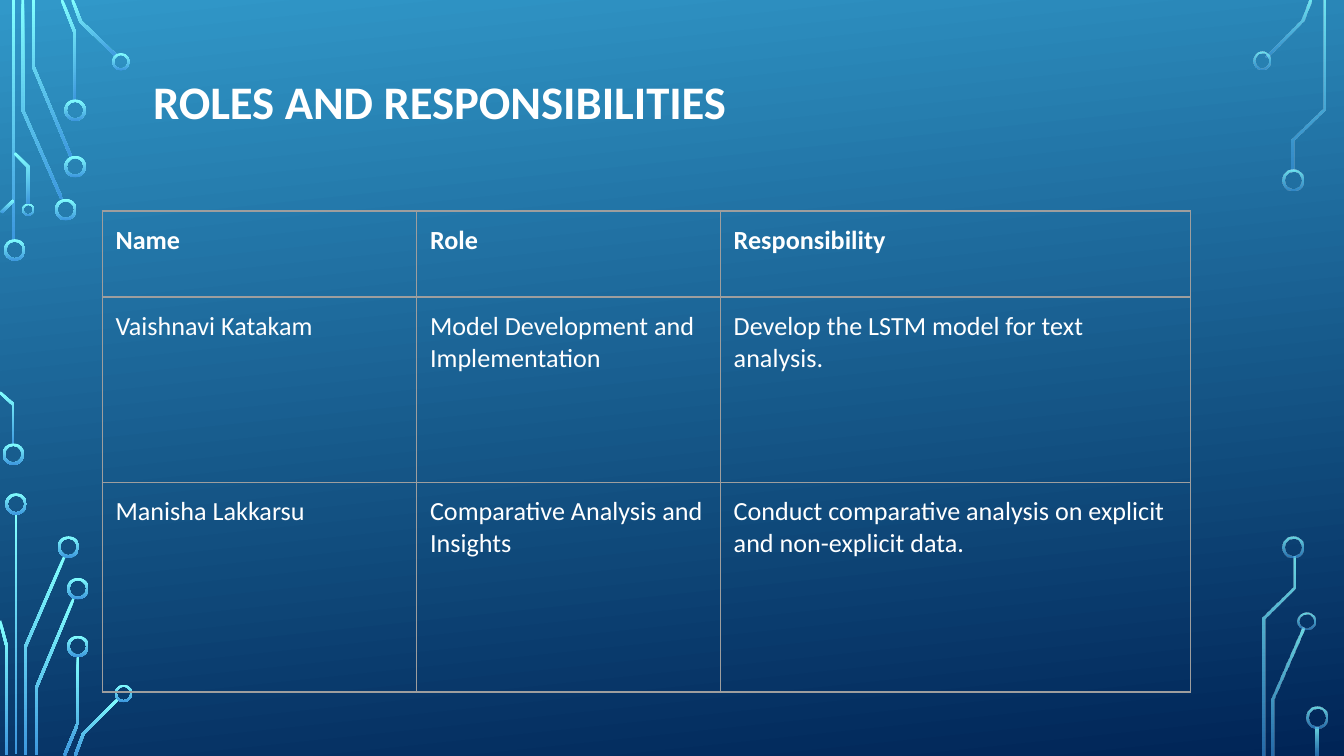
import math

from lxml import etree
from pptx import Presentation, util as u
from pptx.dml.color import RGBColor
from pptx.enum import shapes, text
from pptx.oxml.ns import qn

COLORS = {"sky": "3198C9", "navy": "002456", "cyan": "82FFFF",
          "blue": "3D97DE", "white": "FFFFFF", "grid": "9E9E9E"}
FONT = "Calibri"
INSET = u.Inches(0.1)
TRACK_WIDTH = 0.02
RING_THICKNESS = 0.11  # share of the ring's diameter
OPAQUE = (100, 100)
FADED = (80, 60)

# Bars: left, top, height. Tracks: points of the centre line.
# Rings: centre x, centre y, diameter.
LEFT_CIRCUIT = {
    "bars": [(0.09, 0, 1.79), (0.11, 3.82, 1.79)],
    "tracks": [
        [(0.17, 0), (0.17, 0.82), (0.46, 1.48)],
        [(0.25, 0), (0.25, 0.5), (0.53, 1.17)],
        [(0.46, 0), (0.56, 0.25), (0.56, 0.75)],
        [(0.54, 0), (0.6, 0.16), (0.87, 0.42)],
        [(0.01, 1.58), (0.1, 1.49)],
        [(0, 2.92), (0.1, 3.01), (0.1, 3.31)],
        [(0.11, 1.14), (0.21, 1.24), (0.21, 1.52)],
        [(0.19, 5.62), (0.19, 4.81), (0.48, 4.14)],
        [(0, 4.62), (0.05, 4.81), (0.05, 5.62)],
        [(0.27, 5.62), (0.27, 5.12), (0.55, 4.45)],
        [(0.48, 5.62), (0.58, 5.38), (0.58, 4.88)],
        [(0.56, 5.62), (0.62, 5.46), (0.88, 5.2)],
    ],
    "rings": [
        (0.11, 1.86, 0.16), (0.1, 3.38, 0.16), (0.49, 1.56, 0.16),
        (0.56, 1.24, 0.16), (0.56, 0.82, 0.16), (0.9, 0.46, 0.13),
        (0.21, 1.56, 0.09), (0.12, 3.75, 0.16), (0.51, 4.07, 0.16),
        (0.58, 4.38, 0.16), (0.58, 4.81, 0.16), (0.92, 5.16, 0.13),
    ],
}
RIGHT_CIRCUIT = {
    "bars": [(9.79, 5.41, 0.21)],
    "tracks": [
        [(9.75, 0), (9.69, 0.15), (9.42, 0.42)],
        [(9.47, 5.62), (9.47, 5.2), (9.7, 4.67)],
        [(9.85, 0), (9.85, 0.81), (9.62, 1.04), (9.62, 1.27)],
        [(9.4, 5.62), (9.4, 4.6), (9.63, 4.37), (9.63, 4.14)],
    ],
    "rings": [
        (9.39, 0.45, 0.13), (9.62, 1.34, 0.16), (9.72, 4.62, 0.13),
        (9.62, 4.07, 0.16), (9.8, 5.34, 0.16),
    ],
}

COLUMNS = [2.34, 2.26, 3.5]
ROWS = [0.64, 1.38, 1.56]
ROLES = [
    ["Name", "Role", "Responsibility"],
    ["Vaishnavi Katakam", "Model Development and Implementation",
     "Develop the LSTM model for text analysis."],
    ["Manisha Lakkarsu", "Comparative Analysis and Insights",
     "Conduct comparative analysis on explicit and non-explicit data."],
]


def rgb(name):
    return RGBColor.from_string(COLORS[name])


def set_gradient(fill, names, clockwise_angle):
    fill.gradient()
    fill.gradient_angle = 360 - clockwise_angle
    for stop, name, position in zip(fill.gradient_stops, names, (0, 1)):
        stop.color.rgb = rgb(name)
        stop.position = position


def style_circuit(sp, opacity):
    sp.shadow.inherit = False
    sp.line.fill.background()
    set_gradient(sp.fill, ("cyan", "blue"), 90)
    for color, percent in zip(sp._element.spPr.iter(qn("a:srgbClr")), opacity):
        if percent < 100:
            etree.SubElement(color, qn("a:alpha"), val=str(percent * 1000))


def track_outline(points):
    """Widen a centre line to a polygon with mitred corners."""
    normals = []
    for (x1, y1), (x2, y2) in zip(points, points[1:]):
        length = math.hypot(x2 - x1, y2 - y1)
        normals.append(((y1 - y2) / length, (x2 - x1) / length))
    near, far = [], []
    for (x, y), (ax, ay), (bx, by) in zip(
            points, normals[:1] + normals, normals + normals[-1:]):
        reach = TRACK_WIDTH / 2 / (1 + ax * bx + ay * by)
        dx, dy = (ax + bx) * reach, (ay + by) * reach
        near.append((x + dx, y + dy))
        far.append((x - dx, y - dy))
    return near + far[::-1]


def add_track(s, points, opacity):
    corners = [(u.Inches(x), u.Inches(y)) for x, y in track_outline(points)]
    builder = s.shapes.build_freeform(*corners[0])
    builder.add_line_segments(corners[1:], close=True)
    style_circuit(builder.convert_to_shape(), opacity)


def add_preset(s, kind, left, top, width, height, opacity):
    sp = s.shapes.add_shape(kind, *map(u.Inches, (left, top, width, height)))
    style_circuit(sp, opacity)
    return sp


def add_circuit(s, circuit, opacity):
    kinds = shapes.MSO_SHAPE
    for left, top, height in circuit["bars"]:
        add_preset(s, kinds.RECTANGLE, left, top, TRACK_WIDTH, height, opacity)
    for points in circuit["tracks"]:
        add_track(s, points, opacity)
    for x, y, size in circuit["rings"]:
        ring = add_preset(s, kinds.DONUT, x - size / 2, y - size / 2,
                          size, size, opacity)
        ring.adjustments[0] = RING_THICKNESS


def write(tf, content, size, bold):
    p = tf.paragraphs[0]
    r = p.add_run()
    r.text = content
    for name, value in {"name": FONT, "size": u.Pt(size), "bold": bold}.items():
        setattr(r.font, name, value)
    r.font.color.rgb = rgb("white")
    return p


def set_insets(target):
    for side in ("left", "top", "right", "bottom"):
        setattr(target, f"margin_{side}", INSET)


def add_title(s, content):
    sp = s.shapes.add_textbox(*map(u.Inches, (1.04, 0.49, 8.62, 0.63)))
    tf = sp.text_frame
    tf.word_wrap = True
    tf.vertical_anchor = text.MSO_ANCHOR.TOP
    set_insets(tf)
    write(tf, content, 25, True).line_spacing = 0.9


def add_borders(cell):
    tc_pr = cell._tc.get_or_add_tcPr()
    for side in "LRTB":
        line = etree.SubElement(tc_pr, qn(f"a:ln{side}"), w=str(u.Pt(0.75)))
        fill = etree.SubElement(line, qn("a:solidFill"))
        etree.SubElement(fill, qn("a:srgbClr"), val=COLORS["grid"])


def add_roles_table(s):
    frame = s.shapes.add_table(
        len(ROWS), len(COLUMNS), u.Inches(0.76), u.Inches(1.57),
        u.Inches(sum(COLUMNS)), u.Inches(sum(ROWS)))
    table = frame.table
    table.first_row = table.horz_banding = False
    for column, width in zip(table.columns, COLUMNS):
        column.width = u.Inches(width)
    for i, (row, height) in enumerate(zip(table.rows, ROWS)):
        row.height = u.Inches(height)
        for cell, content in zip(row.cells, ROLES[i]):
            set_insets(cell)
            add_borders(cell)
            cell.fill.background()
            write(cell.text_frame, content, 14, i == 0)


def main():
    prs = Presentation()
    prs.slide_width = u.Inches(10)
    prs.slide_height = prs.slide_width * 9 // 16
    s = prs.slides.add_slide(prs.slide_layouts[6])
    set_gradient(s.background.fill, ("sky", "navy"), 84)
    add_circuit(s, LEFT_CIRCUIT, OPAQUE)
    add_circuit(s, RIGHT_CIRCUIT, FADED)
    add_title(s, "ROLES AND RESPONSIBILITIES")
    add_roles_table(s)
    prs.save("out.pptx")


if __name__ == "__main__":
    main()
